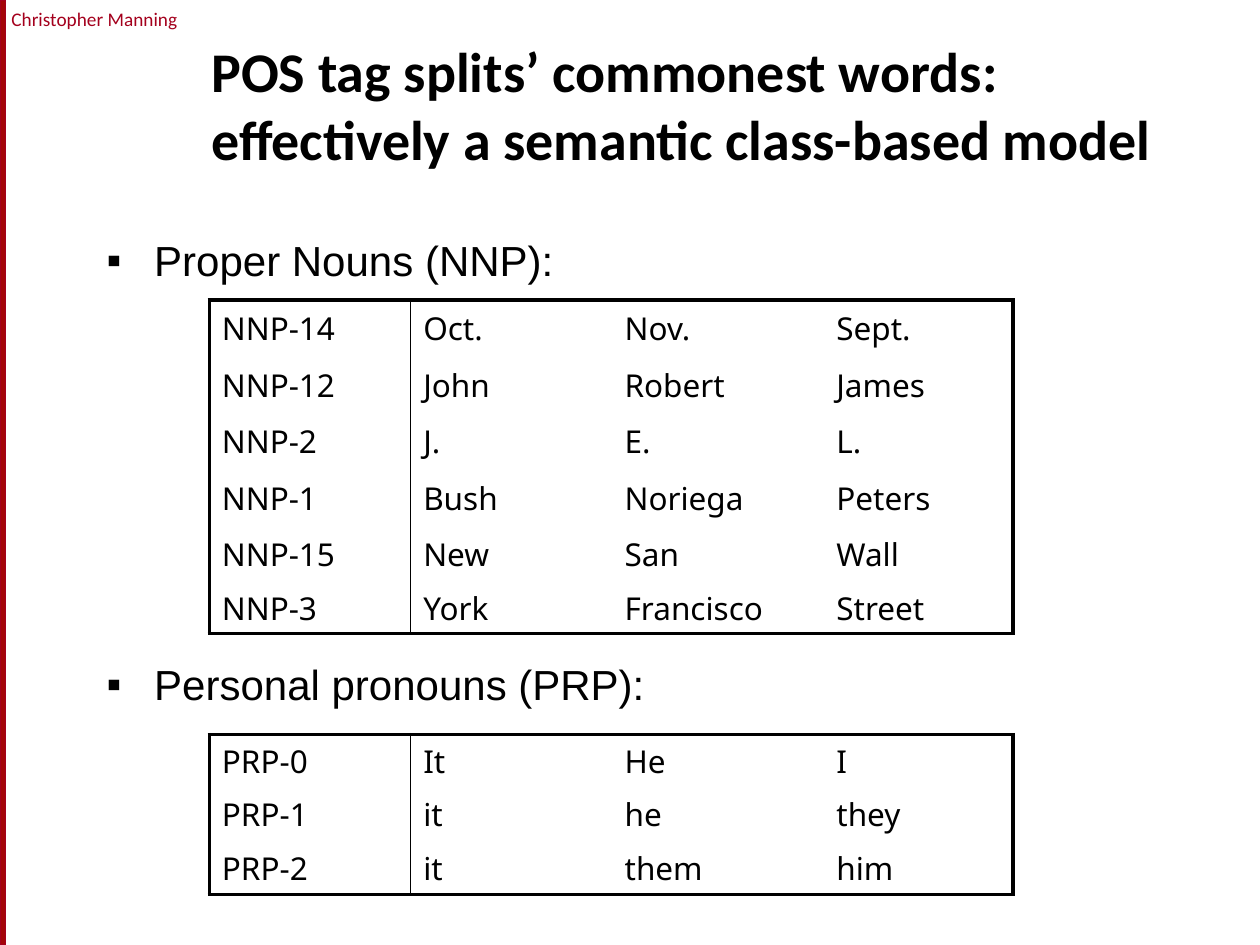
from dataclasses import dataclass

from lxml.etree import SubElement
from pptx import Presentation
from pptx.dml.color import RGBColor
from pptx.enum.shapes import MSO_SHAPE as Shape
from pptx.enum.text import MSO_ANCHOR as Anchor, PP_ALIGN as Align
from pptx.oxml.ns import qn
from pptx.util import Cm, Pt

BLACK, RED, DARK = "000000", "A4001D", "A40508"
COLS = (4.06, 4.06, 4.27, 3.81)
THICK, THIN = 2.25, 1


@dataclass
class Grid:
    top: float
    rows: tuple[float, ...]
    words: tuple[str, ...]


@dataclass
class Box:
    left: float
    top: float
    width: float
    height: float


GRIDS = (
    Grid(6.05, (1.14,) * 5 + (1.02,), (
        "NNP-14 Oct. Nov. Sept.",
        "NNP-12 John Robert James",
        "NNP-2 J. E. L.",
        "NNP-1 Bush Noriega Peters",
        "NNP-15 New San Wall",
        "NNP-3 York Francisco Street",
    )),
    Grid(14.81, (1.07, 1.08, 1.07), (
        "PRP-0 It He I",
        "PRP-1 it he they",
        "PRP-2 it them him",
    )),
)


def paint(form, color: str) -> None:
    form.solid()
    form.fore_color.rgb = RGBColor.from_string(color)


def add_run(para, text: str, size: float, face: str,
            color: str = BLACK, bold: bool = False) -> None:
    run = para.add_run()
    run.text = text
    font = run.font
    font.size, font.name, font.bold = Pt(size), face, bold
    paint(font.fill, color)


def add_box(slide, box: Box):
    shape = slide.shapes.add_textbox(
        Cm(box.left), Cm(box.top), Cm(box.width), Cm(box.height))
    shape.text_frame.word_wrap = True
    return shape.text_frame


def add_bullet(para, text: str, before: float) -> None:
    para.space_before = Pt(before)
    props = para._p.get_or_add_pPr()
    props.set("marL", str(Cm(0.96)))
    props.set("indent", str(-Cm(0.96)))
    SubElement(props, qn("a:buFont"), typeface="Arial")
    SubElement(props, qn("a:buChar"), char="▪")
    add_run(para, text, 24, "Arial")


def set_edges(cell, edges: dict[str, float]) -> None:
    """Draw the four cell borders; a width of zero means no line."""
    props = cell._tc.get_or_add_tcPr()
    for spot, (side, width) in enumerate(edges.items()):
        line = SubElement(props, qn(f"a:ln{side}"), w=str(Pt(width)))
        if width:
            fill = SubElement(line, qn("a:solidFill"))
            SubElement(fill, qn("a:srgbClr"), val=BLACK)
        else:
            SubElement(line, qn("a:noFill"))
        props.insert(spot, line)


def add_grid(slide, grid: Grid) -> None:
    count = len(grid.rows)
    table = slide.shapes.add_table(
        count, len(COLS), Cm(4.22), Cm(grid.top),
        Cm(sum(COLS)), Cm(sum(grid.rows))).table
    table.first_row = table.horz_banding = False
    for col, width in zip(table.columns, COLS):
        col.width = Cm(width)
    last = len(COLS) - 1
    for r, (high, words) in enumerate(zip(grid.rows, grid.words)):
        table.rows[r].height = Cm(high)
        for c, word in enumerate(words.split()):
            cell = table.cell(r, c)
            cell.fill.background()
            cell.vertical_anchor = Anchor.MIDDLE
            cell.margin_top = cell.margin_bottom = Cm(0.07)
            add_run(cell.text_frame.paragraphs[0], word, 18, "Noto Sans")
            set_edges(cell, {
                "L": {0: THICK, 1: THIN}.get(c, 0),
                "R": {0: THIN, last: THICK}.get(c, 0),
                "T": THICK if r == 0 else 0,
                "B": THICK if r == count - 1 else 0,
            })


def main() -> None:
    deck = Presentation()
    deck.slide_width, deck.slide_height = Cm(25.4), Cm(19.05)
    slide = deck.slides.add_slide(deck.slide_layouts[6])

    # Side bar and author
    bar = slide.shapes.add_shape(
        Shape.RECTANGLE, 0, 0, Cm(0.12), deck.slide_height)
    bar.shadow.inherit = False
    paint(bar.fill, DARK)
    paint(bar.line.fill, RED)
    bar.line.width = Pt(0.75)
    frame = add_box(slide, Box(0.1, 0.03, 3.61, 0.74))
    frame.word_wrap = False
    frame.margin_left = frame.margin_right = 0
    para = frame.paragraphs[0]
    para.alignment = Align.CENTER
    add_run(para, "Christopher Manning", 11, "Calibri", RED)

    # Bullets, spaced to leave room for the first table
    frame = add_box(slide, Box(1.9, 4.6, 22.17, 12.14))
    add_bullet(frame.paragraphs[0], "Proper Nouns (NNP):", 3)
    add_bullet(frame.add_paragraph(), "Personal pronouns (PRP):", 213.5)

    # Tables
    for grid in GRIDS:
        add_grid(slide, grid)

    # Title
    frame = add_box(slide, Box(4.01, 0.84, 20.52, 2.74))
    frame.vertical_anchor = Anchor.BOTTOM
    add_run(frame.paragraphs[0],
            "POS tag splits’ commonest words: "
            "effectively a semantic class-based model",
            32, "Calibri", bold=True)

    deck.save("out.pptx")


if __name__ == "__main__":
    main()
